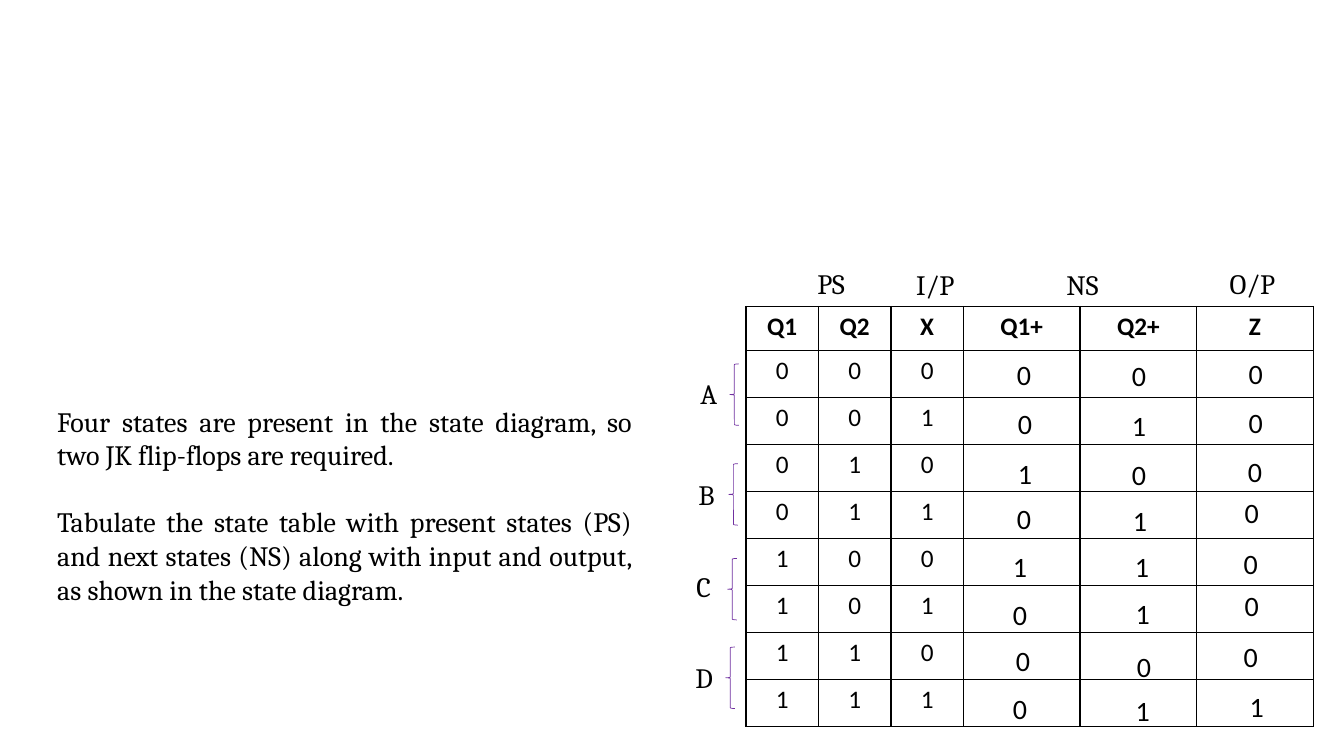
"""Build a slide with the state table of a two flip-flop circuit."""
from typing import NamedTuple

from pptx import Presentation
from pptx.dml.color import RGBColor
from pptx.enum.shapes import MSO_SHAPE
from pptx.enum.text import MSO_AUTO_SIZE, PP_ALIGN
from pptx.oxml import parse_xml
from pptx.oxml.ns import nsdecls
from pptx.util import Pt

BLACK = RGBColor(0x00, 0x00, 0x00)
PURPLE = RGBColor(0x70, 0x30, 0xA0)

SERIF = {"name": "Cambria", "size": Pt(20)}
DIGIT = {"name": "Calibri", "size": Pt(20)}
HEADER = {"name": "Calibri", "size": Pt(18), "bold": True}
ENTRY = {"name": "Calibri", "size": Pt(18), "bold": False}

HEADINGS = ("Q1", "Q2", "X", "Q1+", "Q2+", "Z")
COLUMN_WIDTHS = (51.8, 51.8, 51.8, 83.3, 83.3, 83.3)
HEADER_HEIGHT = 31.6
ROW_HEIGHT = 33.57
STATE_ROWS = 8
LABEL_HEIGHT = 31.5
PARAGRAPH_GAP = 24


class Label(NamedTuple):
    text: str
    left: float
    top: float
    width: float


class State(NamedTuple):
    label: Label
    brace_left: float
    brace_top: float


class ResultColumn(NamedTuple):
    digits: str
    lefts: tuple[float, ...]
    tops: tuple[float, ...]


GROUPS = (
    Label("PS", 576.7, 186.5, 36.7),
    Label("NS", 754.6, 187.2, 44.6),
    Label("I/P", 647.3, 187.2, 44.6),
    Label("O/P", 871.2, 186.5, 54),
)
STATES = (
    State(Label("A", 493.2, 265.7, 31.7), 521.3, 259.9),
    State(Label("B", 491.8, 337.7, 31.7), 520.6, 331.2),
    State(Label("C", 490.3, 403.2, 31.7), 519.8, 398.9),
    State(Label("D", 489.6, 468, 31.7), 518.4, 462.2),
)
RESULTS = (
    ResultColumn(
        "00101000",
        (719.3, 720, 720, 719.3, 716.4, 716.4, 718.6, 716.4),
        (252, 286.6, 322.6, 355, 388.8, 423.4, 455.8, 490.3),
    ),
    ResultColumn(
        "01011101",
        (801.4, 801.4, 801.4, 802.1, 803.5, 804.2, 805, 804.2),
        (252.7, 288, 323.3, 356.4, 388.8, 422.6, 460.1, 491.8),
    ),
    ResultColumn(
        "00000001",
        (884.9, 884.9, 884.2, 882, 881.3, 882, 881.3, 885.6),
        (251.3, 285.8, 321.1, 350.6, 386.6, 416.9, 452.9, 488.9),
    ),
)
EXPLANATION = (
    "Four states are present in the state diagram, so two JK flip-flops are required.",
    "Tabulate the state table with present states (PS) and next states (NS) along with "
    "input and output, as shown in the state diagram.",
)


def write(para, text: str, style: dict, alignment: PP_ALIGN) -> None:
    """Fill a paragraph with one formatted span."""
    para.alignment = alignment
    span = para.add_run()
    span.text = text
    for attribute, value in style.items():
        setattr(span.font, attribute, value)
    span.font.color.rgb = BLACK


def add_text(page, texts: tuple[str, ...], bounds: tuple[float, ...], style: dict,
             alignment: PP_ALIGN) -> None:
    """Add a text box with one paragraph for each text."""
    box = page.shapes.add_textbox(*map(Pt, bounds))
    frame = box.text_frame
    frame.word_wrap = True
    frame.auto_size = MSO_AUTO_SIZE.SHAPE_TO_FIT_TEXT
    for index, text in enumerate(texts):
        para = frame.add_paragraph() if index else frame.paragraphs[0]
        if index:
            para.space_before = Pt(PARAGRAPH_GAP)
        write(para, text, style, alignment)


def add_label(page, label: Label) -> None:
    """Add a heading or a state letter."""
    bounds = (label.left, label.top, label.width, LABEL_HEIGHT)
    add_text(page, (label.text,), bounds, SERIF, PP_ALIGN.JUSTIFY)


def add_state(page, state: State) -> None:
    """Add a state letter with the brace that spans its two rows."""
    add_label(page, state.label)
    bounds = (state.brace_left, state.brace_top, 6.5, 43.9)
    brace = page.shapes.add_shape(MSO_SHAPE.LEFT_BRACE, *map(Pt, bounds))
    brace.shadow.inherit = False
    brace.fill.background()
    brace.line.color.rgb = PURPLE
    brace.line.width = Pt(0.5)


def add_results(page, column: ResultColumn) -> None:
    """Add the digits of one next-state or output column."""
    for digit, left, top in zip(column.digits, column.lefts, column.tops):
        add_text(page, (digit,), (left, top, 21.6, LABEL_HEIGHT), DIGIT, PP_ALIGN.LEFT)


def draw_borders(cell) -> None:
    """Clear the fill of a cell and outline its four sides."""
    cell.fill.background()
    properties = cell._tc.get_or_add_tcPr()
    for position, side in enumerate(("lnL", "lnR", "lnT", "lnB")):
        properties.insert(position, parse_xml(
            f'<a:{side} {nsdecls("a")} w="{Pt(1)}"><a:solidFill>'
            f'<a:srgbClr val="{BLACK}"/></a:solidFill></a:{side}>'))


def add_state_table(page) -> None:
    """Add the grid, counting through the present states and the input."""
    height = HEADER_HEIGHT + STATE_ROWS * ROW_HEIGHT
    bounds = (532.8, 218.9, sum(COLUMN_WIDTHS), height)
    grid = page.shapes.add_table(
        STATE_ROWS + 1, len(HEADINGS), *map(Pt, bounds)).table
    grid.first_row = False
    grid.horz_banding = False
    for column, width in zip(grid.columns, COLUMN_WIDTHS):
        column.width = Pt(width)
    lines = [HEADINGS] + [format(number, "03b") for number in range(STATE_ROWS)]
    for index, (row, entries) in enumerate(zip(grid.rows, lines)):
        row.height = Pt(ROW_HEIGHT if index else HEADER_HEIGHT)
        for cell in row.cells:
            draw_borders(cell)
        for cell, entry in zip(row.cells, entries):
            style = ENTRY if index else HEADER
            write(cell.text_frame.paragraphs[0], entry, style, PP_ALIGN.CENTER)


def main() -> None:
    """Create the deck and save it."""
    deck = Presentation()
    deck.slide_width, deck.slide_height = Pt(960), Pt(540)
    page = deck.slides.add_slide(deck.slide_layouts[6])
    add_state_table(page)
    for group in GROUPS:
        add_label(page, group)
    for state in STATES:
        add_state(page, state)
    for column in RESULTS:
        add_results(page, column)
    add_text(page, EXPLANATION, (33.8, 285.1, 424.8, 152.6), SERIF, PP_ALIGN.JUSTIFY)
    deck.save("out.pptx")


if __name__ == "__main__":
    main()
